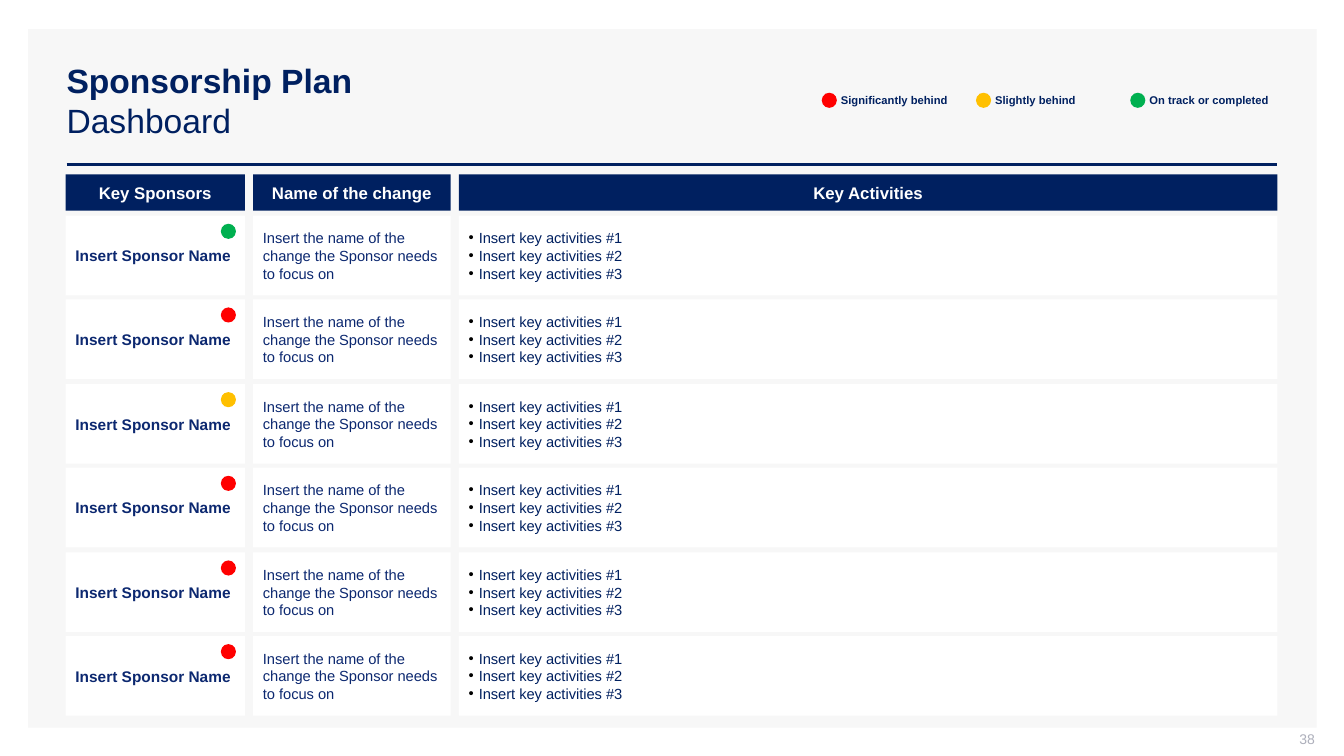
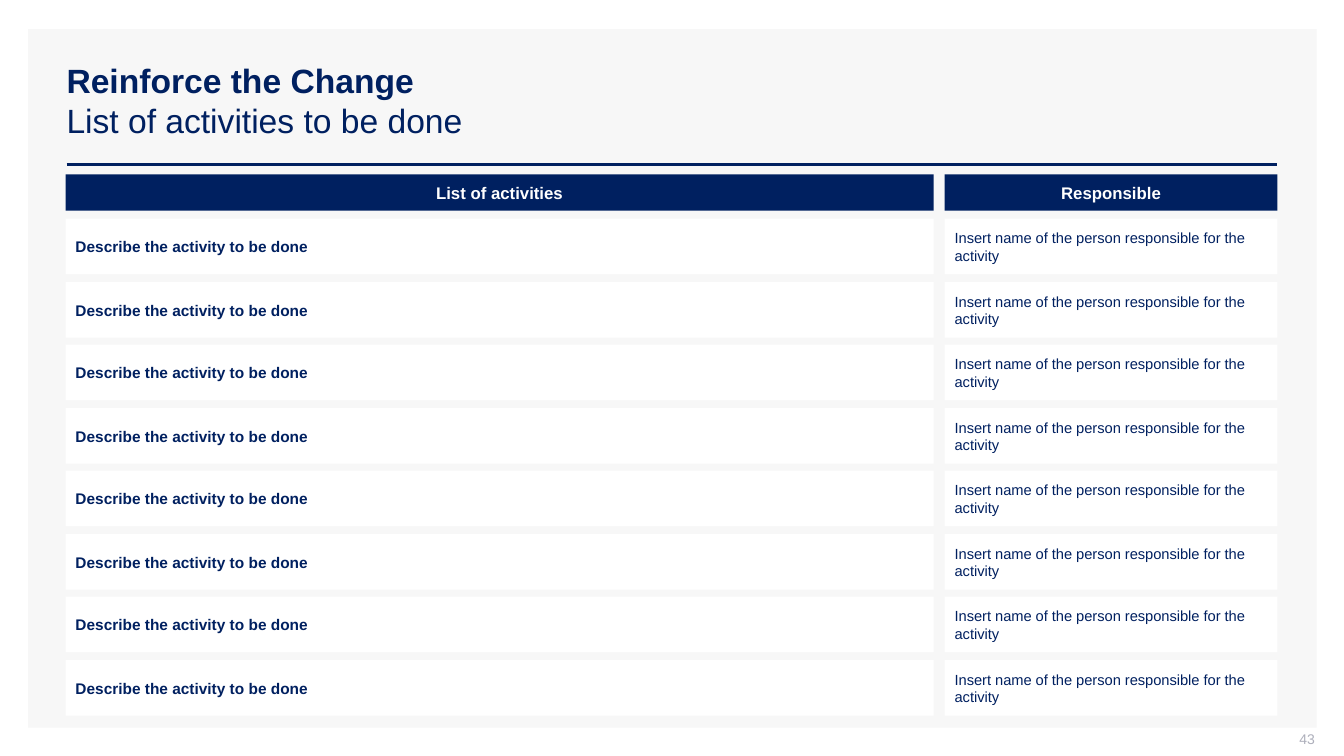
from dataclasses import dataclass

from lxml.etree import SubElement
from pptx import Presentation
from pptx.dml.color import RGBColor
from pptx.enum.shapes import MSO_CONNECTOR, MSO_SHAPE
from pptx.enum.text import MSO_ANCHOR, PP_ALIGN
from pptx.oxml.ns import qn
from pptx.util import Pt

PX = 9144
FONT = "Arial"
NAVY = "002060"
INK = "0C2870"
WHITE = "FFFFFF"
PANEL = "F7F7F7"
GRAY = "ADAFBB"
BLACK = "000000"
RED = "FF0000"
AMBER = "FFC000"
GREEN = "00B050"

HEADING_TOP = 173
HEADING_HEIGHT = 36
TABLE_BOTTOM = 710
DOT_SIZE = 15


@dataclass
class Column:
    left: int
    width: int
    heading: str
    lines: list
    size: float = 10.5
    bold: bool = False
    color: str = NAVY
    bulleted: bool = False


def rgb(color):
    return RGBColor.from_string(color)


def scaled(*lengths):
    return [round(length * PX) for length in lengths]


def format_runs(paragraph, size, color, bold=False):
    for run in paragraph.runs:
        run.font.name = FONT
        run.font.size = Pt(size)
        run.font.bold = bold
        run.font.color.rgb = rgb(color)


def add_bullet(paragraph, indent):
    properties = paragraph._p.get_or_add_pPr()
    properties.set("marL", str(indent * PX))
    properties.set("indent", str(-indent * PX))
    bullet_color = SubElement(properties, qn("a:buClr"))
    SubElement(bullet_color, qn("a:srgbClr")).set("val", BLACK)
    SubElement(properties, qn("a:buFont")).set("typeface", FONT)
    SubElement(properties, qn("a:buChar")).set("char", "•")


def set_text(shape, lines, size, color, bold=False, align=PP_ALIGN.LEFT,
             insets=(0, 0, 0, 0), bulleted=False):
    frame = shape.text_frame
    frame.word_wrap = True
    frame.vertical_anchor = MSO_ANCHOR.MIDDLE
    (frame.margin_left, frame.margin_top,
     frame.margin_right, frame.margin_bottom) = scaled(*insets)
    frame.text = "\n".join(lines)
    for paragraph in frame.paragraphs:
        paragraph.alignment = align
        if bulleted:
            add_bullet(paragraph, 10)
        format_runs(paragraph, size, color, bold)


def add_filled(slide, kind, box, color):
    shape = slide.shapes.add_shape(kind, *scaled(*box))
    shape.shadow.inherit = False
    shape.fill.solid()
    shape.fill.fore_color.rgb = rgb(color)
    shape.line.fill.background()
    return shape


def add_dot(slide, left, top, color):
    add_filled(slide, MSO_SHAPE.OVAL, (left, top, DOT_SIZE, DOT_SIZE), color)


def move_frame_to_layout(slide):
    layout = slide.slide_layout
    for placeholder in list(layout.placeholders):
        if placeholder.placeholder_format.idx:
            layout.shapes.element.remove(placeholder.element)
    panel = add_filled(slide, MSO_SHAPE.RECTANGLE, (28, 29, 1278, 693), PANEL)
    rule = slide.shapes.add_connector(
        MSO_CONNECTOR.STRAIGHT, *scaled(66, 163, 1267, 163))
    rule.line.color.rgb = rgb(NAVY)
    rule.line.width = Pt(2)
    SubElement(rule.element.spPr, qn("a:effectLst"))
    for position, shape in enumerate((panel, rule), start=2):
        layout.shapes.element.insert(position, shape.element)


def add_title(slide, heading, subheading):
    title = slide.shapes.title
    title.left, title.top, title.width, title.height = scaled(56, 40, 1211, 119)
    set_text(title, [f"{heading}\v{subheading}"], 24, NAVY, insets=(10, 5, 10, 5))
    title.text_frame.paragraphs[0].runs[0].font.bold = True


def add_page_number(slide, number):
    box = slide.shapes.add_textbox(*scaled(1004, 725, 300, 21))
    set_text(box, [str(number)], 10, GRAY, align=PP_ALIGN.RIGHT,
             insets=(10, 0, 0, 5))


def add_legend(slide, left, top, entries):
    for index, (label, color) in enumerate(entries):
        dot_left = left + index * 153
        add_dot(slide, dot_left, top + 12, color)
        box = slide.shapes.add_textbox(*scaled(dot_left + 19, top, 124, 39))
        set_text(box, [label], 8, NAVY, bold=True)


def add_grid(slide, columns, row_count, first_top, row_height):
    pitch = (TABLE_BOTTOM - row_height - first_top) / (row_count - 1)
    row_tops = [first_top + round(index * pitch) for index in range(row_count)]
    for column in columns:
        heading = add_filled(
            slide, MSO_SHAPE.RECTANGLE,
            (column.left, HEADING_TOP, column.width, HEADING_HEIGHT), NAVY)
        set_text(heading, [column.heading], 12, WHITE, bold=True,
                 align=PP_ALIGN.CENTER, insets=(2, 2, 2, 2))
        for top in row_tops:
            cell = add_filled(slide, MSO_SHAPE.RECTANGLE,
                              (column.left, top, column.width, row_height), WHITE)
            set_text(cell, column.lines, column.size, column.color, column.bold,
                     insets=(10, 5, 10, 5), bulleted=column.bulleted)
    return row_tops


def build_dashboard(slide):
    add_title(slide, "Sponsorship Plan", "Dashboard")
    add_page_number(slide, 38)
    columns = [
        Column(65, 178, "Key Sponsors", ["Insert Sponsor Name"],
               size=11, bold=True, color=INK),
        Column(251, 196, "Name of the change",
               ["Insert the name of the change the Sponsor needs to focus on"],
               color=INK),
        Column(455, 812, "Key Activities",
               [f"Insert key activities #{number}" for number in (1, 2, 3)],
               bulleted=True),
    ]
    statuses = [GREEN, RED, AMBER, RED, RED, RED]
    row_tops = add_grid(slide, columns, len(statuses), 214, 79)
    sponsors = columns[0]
    dot_left = sponsors.left + sponsors.width - DOT_SIZE - 9
    for top, status in zip(row_tops, statuses):
        add_dot(slide, dot_left, top + 8, status)
    add_legend(slide, 815, 80, [("Significantly behind", RED),
                                ("Slightly behind", AMBER),
                                ("On track or completed", GREEN)])


def build_activity_list(slide):
    add_title(slide, "Reinforce the Change", "List of activities to be done")
    add_page_number(slide, 43)
    columns = [
        Column(65, 861, "List of activities",
               ["Describe the activity to be done"], size=11, bold=True),
        Column(937, 330, "Responsible",
               ["Insert name of the person responsible for the activity"]),
    ]
    add_grid(slide, columns, 8, 217, 55)


def main():
    presentation = Presentation()
    presentation.slide_width, presentation.slide_height = scaled(1333, 750)
    layout = presentation.slide_layouts[5]
    dashboard = presentation.slides.add_slide(layout)
    move_frame_to_layout(dashboard)
    build_dashboard(dashboard)
    build_activity_list(presentation.slides.add_slide(layout))
    presentation.save("out.pptx")


if __name__ == "__main__":
    main()
